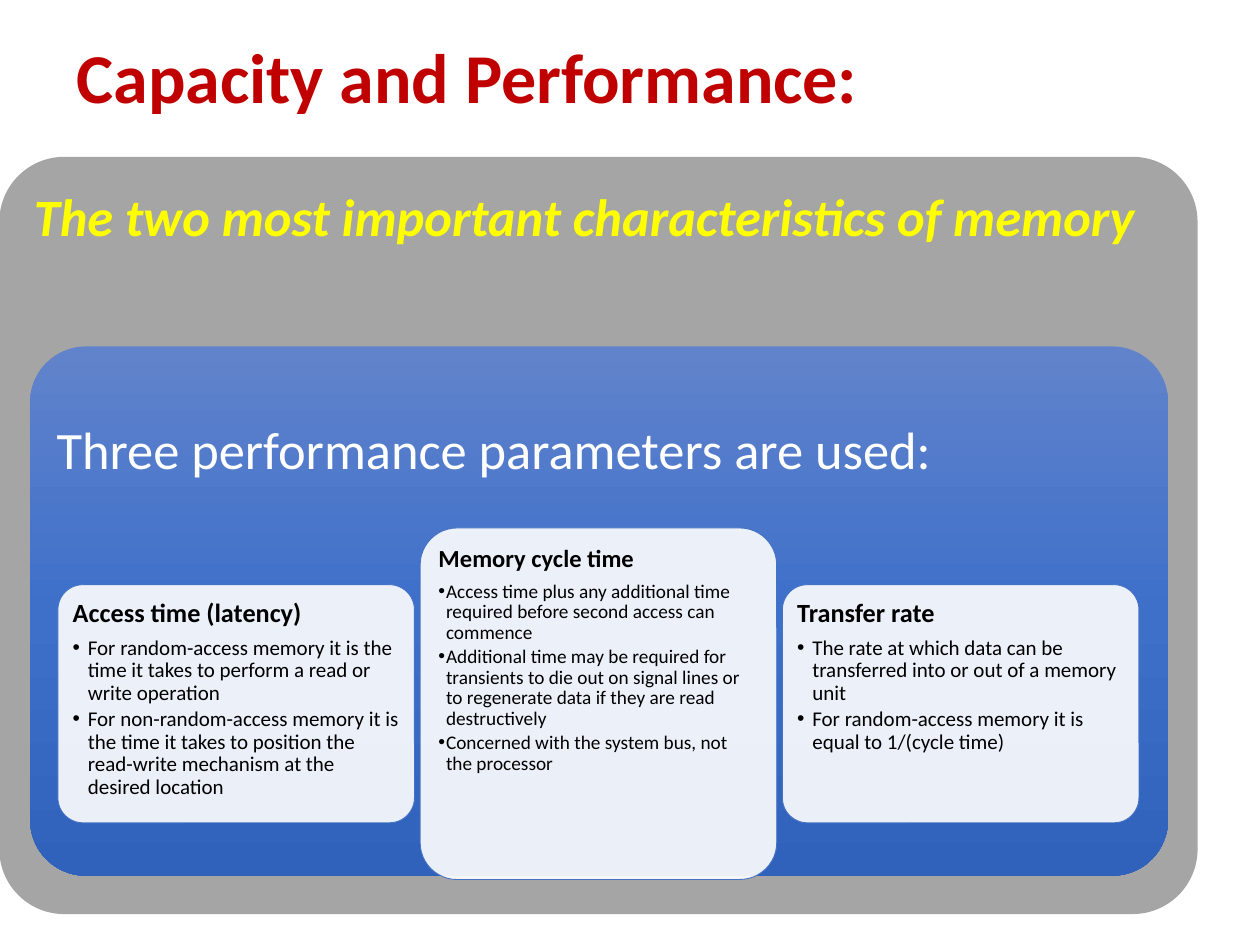
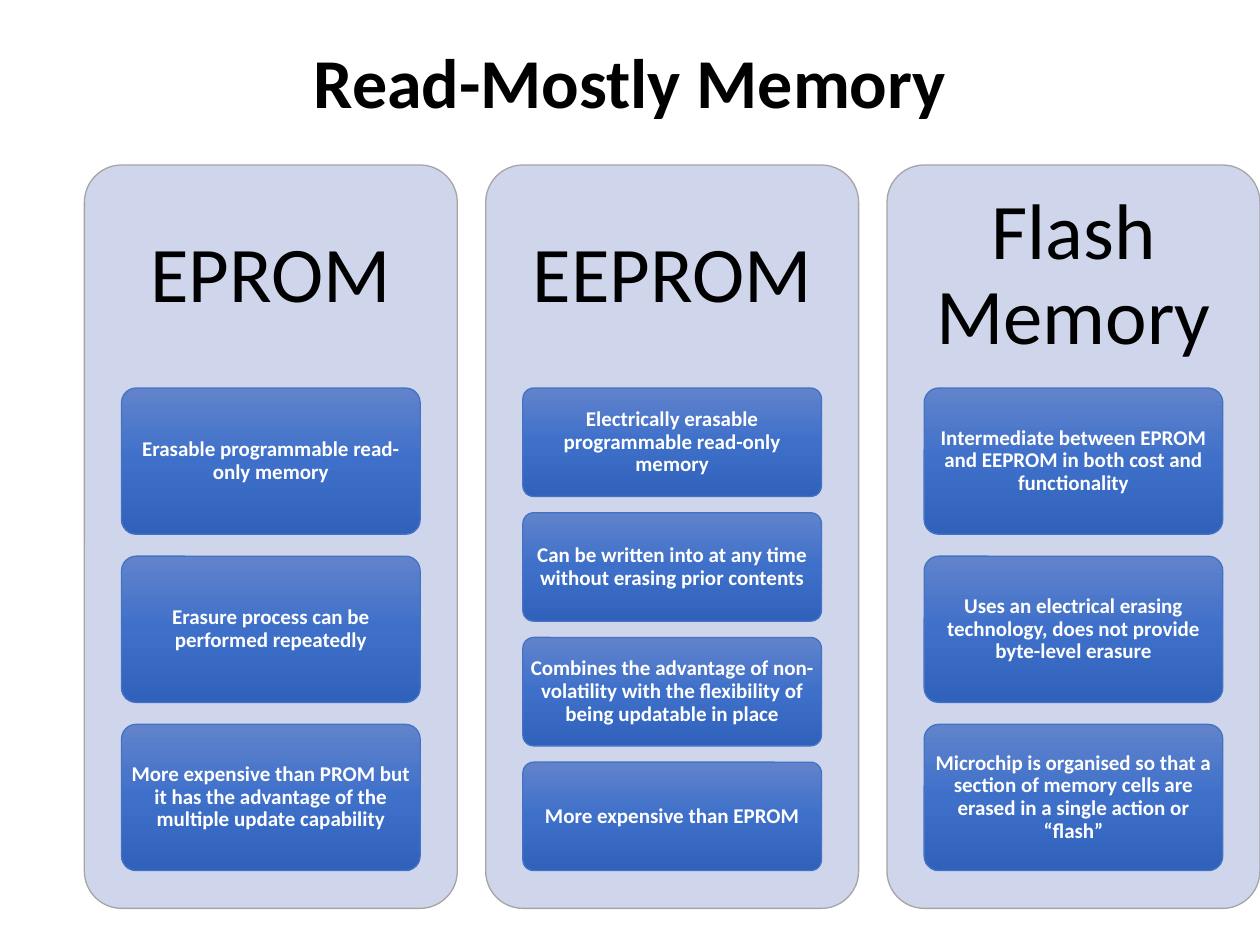
import copy

import pptx
import pptx.dml.color
import pptx.enum.shapes
import pptx.enum.text
import pptx.oxml
import pptx.oxml.ns
import pptx.util

Inches = pptx.util.Inches
Pt = pptx.util.Pt
RGBColor = pptx.dml.color.RGBColor
PP_ALIGN = pptx.enum.text.PP_ALIGN
ANCHOR = pptx.enum.text.MSO_ANCHOR
qn = pptx.oxml.ns.qn

BLACK = RGBColor(0x00, 0x00, 0x00)
WHITE = RGBColor(0xFF, 0xFF, 0xFF)
RED = RGBColor(0xC0, 0x00, 0x00)
YELLOW = RGBColor(0xFF, 0xFF, 0x00)
GREY = RGBColor(0xA5, 0xA5, 0xA5)
BLUE = RGBColor(0x44, 0x72, 0xC4)
PALE_BLUE = RGBColor(0xCF, 0xD5, 0xEA)
BLUE_GRADIENT = [
    RGBColor(0x61, 0x83, 0xCB),
    RGBColor(0x3E, 0x70, 0xCA),
    RGBColor(0x30, 0x62, 0xBB),
]

TITLE = {"size": Pt(40), "bold": True}
PANEL_HEADING = {"size": Pt(30), "bold": True, "italic": True}
PANEL_SUBHEADING = {"size": Pt(30)}
COLUMN_HEADING = {"size": Pt(45)}
TILE_TEXT = {"size": Pt(12), "bold": True}


def add_text(frame, text, font_format, color, alignment=PP_ALIGN.LEFT,
             space=0.35, bullet_indent=None):
    """Append a paragraph, using the first one while it is still empty."""
    paragraph = frame.paragraphs[0]
    if paragraph.runs:
        paragraph = frame.add_paragraph()
    paragraph.alignment = alignment
    paragraph.line_spacing = 0.9
    paragraph.space_after = Pt(round(space * font_format["size"].pt, 2))
    run = paragraph.add_run()
    run.text = text
    for name, value in {"name": "Calibri", **font_format}.items():
        setattr(run.font, name, value)
    run.font.color.rgb = color
    if bullet_indent is not None:
        paragraph.level = 1
        properties = paragraph._p.get_or_add_pPr()
        properties.set("marL", str(bullet_indent))
        properties.set("indent", str(-bullet_indent))
        bullet_font = pptx.oxml.parse_xml(
            f'<a:buFont {pptx.oxml.ns.nsdecls("a")} typeface="Arial"/>')
        bullet = pptx.oxml.parse_xml(
            f'<a:buChar {pptx.oxml.ns.nsdecls("a")} char="•"/>')
        properties.extend([bullet_font, bullet])


def add_panel(slide, box, corner, fill, line, insets, anchor=ANCHOR.TOP):
    """Add a rounded panel; a list as fill makes a vertical gradient."""
    shape = slide.shapes.add_shape(
        pptx.enum.shapes.MSO_SHAPE.ROUNDED_RECTANGLE, *map(Inches, box))
    shape.shadow.inherit = False
    shape.adjustments[0] = corner
    if isinstance(fill, list):
        shape.fill.gradient()
        shape.fill.gradient_angle = 270
        stop_list = shape._element.spPr.find(".//" + qn("a:gsLst"))
        stop_list.insert(1, copy.deepcopy(stop_list[0]))
        for index, stop in enumerate(shape.fill.gradient_stops):
            stop.position = index / 2
            stop.color.rgb = fill[index]
    else:
        shape.fill.solid()
        shape.fill.fore_color.rgb = fill
    if line is None:
        shape.line.fill.background()
    else:
        line_color, line_width = line
        shape.line.color.rgb = line_color
        shape.line.width = Pt(line_width)
    frame = shape.text_frame
    frame.word_wrap = True
    frame.vertical_anchor = anchor
    for side, inset in zip(("left", "top", "right", "bottom"), insets):
        setattr(frame, "margin_" + side, Inches(inset))
    return shape


presentation = pptx.Presentation()
presentation.slide_width = Inches(10)
presentation.slide_height = Inches(7.5)

# Both slides with their titles
titles = [
    ("Capacity and Performance:", (0.51, 0.23, 8.26, 0.82), RED, PP_ALIGN.LEFT),
    ("Read-Mostly Memory", (0, 0.21, 10, 0.94), BLACK, PP_ALIGN.CENTER),
]
slides = []
for text, box, color, alignment in titles:
    slide = presentation.slides.add_slide(presentation.slide_layouts[6])
    frame = slide.shapes.add_textbox(*map(Inches, box)).text_frame
    frame.word_wrap = True
    frame.vertical_anchor = ANCHOR.MIDDLE
    add_text(frame, text, TITLE, color, alignment, space=0)
    slides.append(slide)
performance_slide, memory_slide = slides

# Capacity and performance: nested panels
outer_panel = add_panel(performance_slide, (0, 1.25, 9.5, 6), 0.085, GREY,
                        (GREY, 0.75), (0.12, 0.12, 0.12, 4.66))
add_text(outer_panel.text_frame, "The two most important characteristics of memory",
         PANEL_HEADING, YELLOW)
inner_panel = add_panel(performance_slide, (0.24, 2.75, 9.03, 4.2), 0.105,
                        BLUE_GRADIENT, None, (0.08, 0.49, 0.08, 2.67))
add_text(inner_panel.text_frame, "Three performance parameters are used:",
         PANEL_SUBHEADING, WHITE)

# Three parameter cards: top, height, heading size, bullet size, bullet indent
side_card = (4.64, 1.89, 15, 12, 0.12)
middle_card = (4.19, 2.79, 14, 11, 0.06)
cards = [
    (side_card, "Access time (latency)", [
        "For random-access memory it is the time it takes to perform a read or "
        "write operation",
        "For non-random-access memory it is the time it takes to position the "
        "read-write mechanism at the desired location",
    ]),
    (middle_card, "Memory cycle time", [
        "Access time plus any additional time required before second access can "
        "commence",
        "Additional time may be required for transients to die out on signal lines "
        "or to regenerate data if they are read destructively",
        "Concerned with the system bus, not the processor",
    ]),
    (side_card, "Transfer rate", [
        "The rate at which data can be transferred into or out of a memory unit",
        "For random-access memory it is equal to 1/(cycle time)",
    ]),
]
for index, (layout, heading, bullets) in enumerate(cards):
    top, height, heading_size, bullet_size, indent = layout
    left = 0.46 + index * 2.875
    card = add_panel(performance_slide, (left, top, 2.83, height), 0.105, WHITE,
                     (BLUE, 0.5), (0.06, 0.06, 0.06, 0.06))
    white = card._element.spPr.find(qn("a:solidFill"))[0]
    white.append(pptx.oxml.parse_xml(
        f'<a:alpha {pptx.oxml.ns.nsdecls("a")} val="90000"/>'))
    add_text(card.text_frame, heading, {"size": Pt(heading_size), "bold": True}, BLACK)
    for bullet in bullets:
        add_text(card.text_frame, bullet, {"size": Pt(bullet_size)}, BLACK,
                 space=0.15, bullet_indent=Inches(indent))

# Read-mostly memory: three columns of tiles
columns = [
    ("EPROM", [
        "Erasable programmable read-only memory",
        "Erasure process can be performed repeatedly",
        "More expensive than PROM but it has the advantage of the multiple update "
        "capability",
    ]),
    ("EEPROM", [
        "Electrically erasable programmable read-only memory",
        "Can be written into at any time without erasing prior contents",
        "Combines the advantage of non-volatility with the flexibility of being "
        "updatable in place",
        "More expensive than EPROM",
    ]),
    ("Flash Memory", [
        "Intermediate between EPROM and EEPROM in both cost and functionality",
        "Uses an electrical erasing technology, does not provide byte-level erasure",
        "Microchip is organised so that a section of memory cells are erased in a "
        "single action or “flash”",
    ]),
]
COLUMN_LEFT, COLUMN_WIDTH = 0.67, 2.96
COLUMN_STEP = (10 - COLUMN_WIDTH - COLUMN_LEFT) / 2
TILES_TOP, TILES_HEIGHT, TILE_WIDTH = 3.08, 3.83, 2.37
GAP_SHARE = 0.15  # gap between tiles as a share of the tile height
for index, (heading, tiles) in enumerate(columns):
    left = COLUMN_LEFT + index * COLUMN_STEP
    column = add_panel(memory_slide, (left, 1.31, COLUMN_WIDTH, 5.9), 0.1, PALE_BLUE,
                       (GREY, 0.75), (0.1, 0.1, 0.1, 4.23), ANCHOR.MIDDLE)
    add_text(column.text_frame, heading, COLUMN_HEADING, BLACK, PP_ALIGN.CENTER)
    tile_left = left + (COLUMN_WIDTH - TILE_WIDTH) / 2
    tile_height = TILES_HEIGHT / (len(tiles) + GAP_SHARE * (len(tiles) - 1))
    for row, text in enumerate(tiles):
        tile_top = TILES_TOP + row * tile_height * (1 + GAP_SHARE)
        tile = add_panel(memory_slide, (tile_left, tile_top, TILE_WIDTH, tile_height),
                         0.1, BLUE_GRADIENT, (BLUE, 0.75),
                         (0.03, 0.03, 0.03, 0.03), ANCHOR.MIDDLE)
        add_text(tile.text_frame, text, TILE_TEXT, WHITE, PP_ALIGN.CENTER)

presentation.save("out.pptx")
